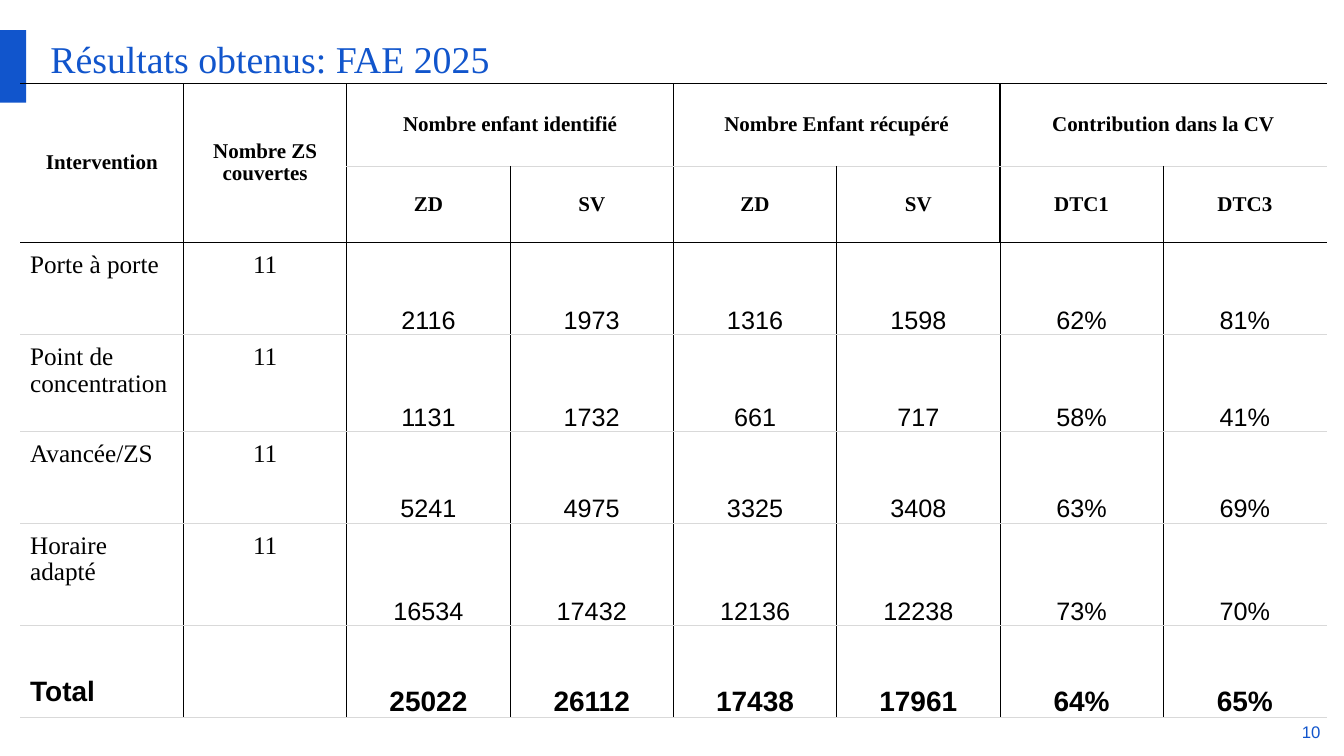
from lxml import etree
from pptx import Presentation
from pptx import util as u
from pptx.dml.color import RGBColor
from pptx.enum import shapes, text
from pptx.oxml.ns import qn

COLORS = {"blue": "1155CC", "black": "000000", "grey": "D9D9D9"}
SERIF, SANS = "Times New Roman", "Arial"
LEFT, CENTER, RIGHT = text.PP_ALIGN.LEFT, text.PP_ALIGN.CENTER, text.PP_ALIGN.RIGHT
TOP, MIDDLE, BOTTOM = (text.MSO_ANCHOR.TOP, text.MSO_ANCHOR.MIDDLE,
                       text.MSO_ANCHOR.BOTTOM)

HEADER_ROWS, LABEL_COLS = 2, 2
ROW_HEIGHTS = [2.08, 1.93, 2.31, 2.44, 2.31, 2.59, 2.31]
ROWS = [
    ["Intervention", "Nombre ZS couvertes", "Nombre enfant identifié", "",
     "Nombre Enfant récupéré", "", "Contribution dans la CV", ""],
    ["", "", "ZD", "SV", "ZD", "SV", "DTC1", "DTC3"],
    ["Porte à porte", "11", "2116", "1973", "1316", "1598", "62%", "81%"],
    ["Point de concentration", "11", "1131", "1732", "661", "717", "58%", "41%"],
    ["Avancée/ZS", "11", "5241", "4975", "3325", "3408", "63%", "69%"],
    ["Horaire adapté", "11", "16534", "17432", "12136", "12238", "73%", "70%"],
    ["Total", "", "25022", "26112", "17438", "17961", "64%", "65%"],
]
LAST_ROW, COL_COUNT = len(ROWS) - 1, len(ROWS[0])


def color(name):
    return RGBColor.from_string(COLORS[name])


def write(frame, words, align, font, ink="black", spacing=1.0):
    para = frame.paragraphs[0]
    para.alignment = align
    para.line_spacing = spacing
    span = para.add_run()
    span.text = words
    for name, value in font.items():
        setattr(span.font, name, value)
    span.font.color.rgb = color(ink)


def set_margins(target, left, top, right, bottom):
    margins = {"left": left, "top": top, "right": right, "bottom": bottom}
    for side, size in margins.items():
        setattr(target, "margin_" + side, u.Cm(size))


def add_title(page, box):
    title = page.shapes.title
    title.left, title.top, title.width, title.height = map(u.Cm, box)
    frame = title.text_frame
    set_margins(frame, 0, 0, 0, 0)
    frame.vertical_anchor = TOP
    frame.word_wrap = True
    write(frame, "Résultats obtenus: FAE 2025", LEFT,
          {"name": SERIF, "size": u.Pt(27), "bold": False}, "blue")


def add_accent(page, box):
    bar = page.shapes.add_shape(shapes.MSO_SHAPE.RECTANGLE, *map(u.Cm, box))
    bar.shadow.inherit = False
    bar.fill.solid()
    bar.fill.fore_color.rgb = color("blue")
    bar.line.fill.background()


def add_page_number(page, box):
    frame = page.shapes.add_textbox(*map(u.Cm, box)).text_frame
    set_margins(frame, 0, 0, 0, 0)
    frame.word_wrap = True
    frame.vertical_anchor = MIDDLE
    write(frame, "10", RIGHT, {"name": SANS, "size": u.Pt(12)}, "blue")


def cell_extent(row, col):
    """Top, left, bottom and right grid lines of the cell, merges included."""
    if row < HEADER_ROWS and col < LABEL_COLS:
        return 0, col, HEADER_ROWS, col + 1
    if row == 0:
        first = col - col % 2
        return 0, first, 1, first + 2
    return row, col, row + 1, col + 1


def draw_borders(cell, row, col):
    top, left, bottom, right = cell_extent(row, col)
    grouped_header = row < HEADER_ROWS and col >= LABEL_COLS
    props = cell._tc.get_or_add_tcPr()
    edges = {"a:lnL": left, "a:lnR": right, "a:lnT": top, "a:lnB": bottom}
    for position, (tag, grid_line) in enumerate(edges.items()):
        upright = tag in ("a:lnL", "a:lnR")
        heading_line = grid_line in (0, HEADER_ROWS)
        heavy = grouped_header and (upright or heading_line)
        line = etree.Element(qn(tag), w=str(u.Pt(1 if heavy else 0.75)))
        if upright and grid_line in (0, COL_COUNT):
            etree.SubElement(line, qn("a:noFill"))
        else:
            ink = "black" if upright or heading_line else "grey"
            fill = etree.SubElement(line, qn("a:solidFill"))
            etree.SubElement(fill, qn("a:srgbClr"), val=COLORS[ink])
        props.insert(position, line)


def format_cell(cell, row, col):
    header, total = row < HEADER_ROWS, row == LAST_ROW
    label = col < LABEL_COLS
    serif = header or (label and not total)
    if label:
        set_margins(cell, 0.25, 0.25, 0.25, 0.25)
    elif header:
        set_margins(cell, 0.25, 0.13, 0.25, 0.13)
    else:
        set_margins(cell, 0.03, 0.03, 0.03, 0)
    cell.vertical_anchor = MIDDLE if header else TOP if serif else BOTTOM
    cell.fill.background()
    draw_borders(cell, row, col)
    if ROWS[row][col]:
        font = {"name": SERIF if serif else SANS,
                "size": u.Pt(15 if header else 20 if total else 18),
                "bold": header or total}
        align = CENTER if header or col else LEFT
        write(cell.text_frame, ROWS[row][col], align, font,
              spacing=0.95 if serif else 1.0)


def add_results_table(page, left, top, width):
    frame = page.shapes.add_table(len(ROWS), COL_COUNT, u.Cm(left), u.Cm(top),
                                  u.Cm(width), u.Cm(sum(ROW_HEIGHTS)))
    table = frame.table
    table.first_row = table.horz_banding = False
    for column in table.columns:
        column.width = u.Cm(width / COL_COUNT)
    for row, height in enumerate(ROW_HEIGHTS):
        table.rows[row].height = u.Cm(height)
        for col in range(COL_COUNT):
            format_cell(table.cell(row, col), row, col)
    for col in range(LABEL_COLS):
        table.cell(0, col).merge(table.cell(HEADER_ROWS - 1, col))
    for col in range(LABEL_COLS, COL_COUNT, 2):
        table.cell(0, col).merge(table.cell(0, col + 1))


def main():
    deck = Presentation()
    deck.slide_width, deck.slide_height = u.Cm(33.87), u.Cm(19.05)
    page = deck.slides.add_slide(deck.slide_layouts[5])
    add_title(page, (1.27, 0.89, 31.32, 2.03))
    add_accent(page, (0, 0.76, 0.66, 1.83))
    add_page_number(page, (32.39, 18.2, 0.89, 0.46))
    add_results_table(page, 0.51, 2.11, 32.92)
    deck.save("out.pptx")


if __name__ == "__main__":
    main()
